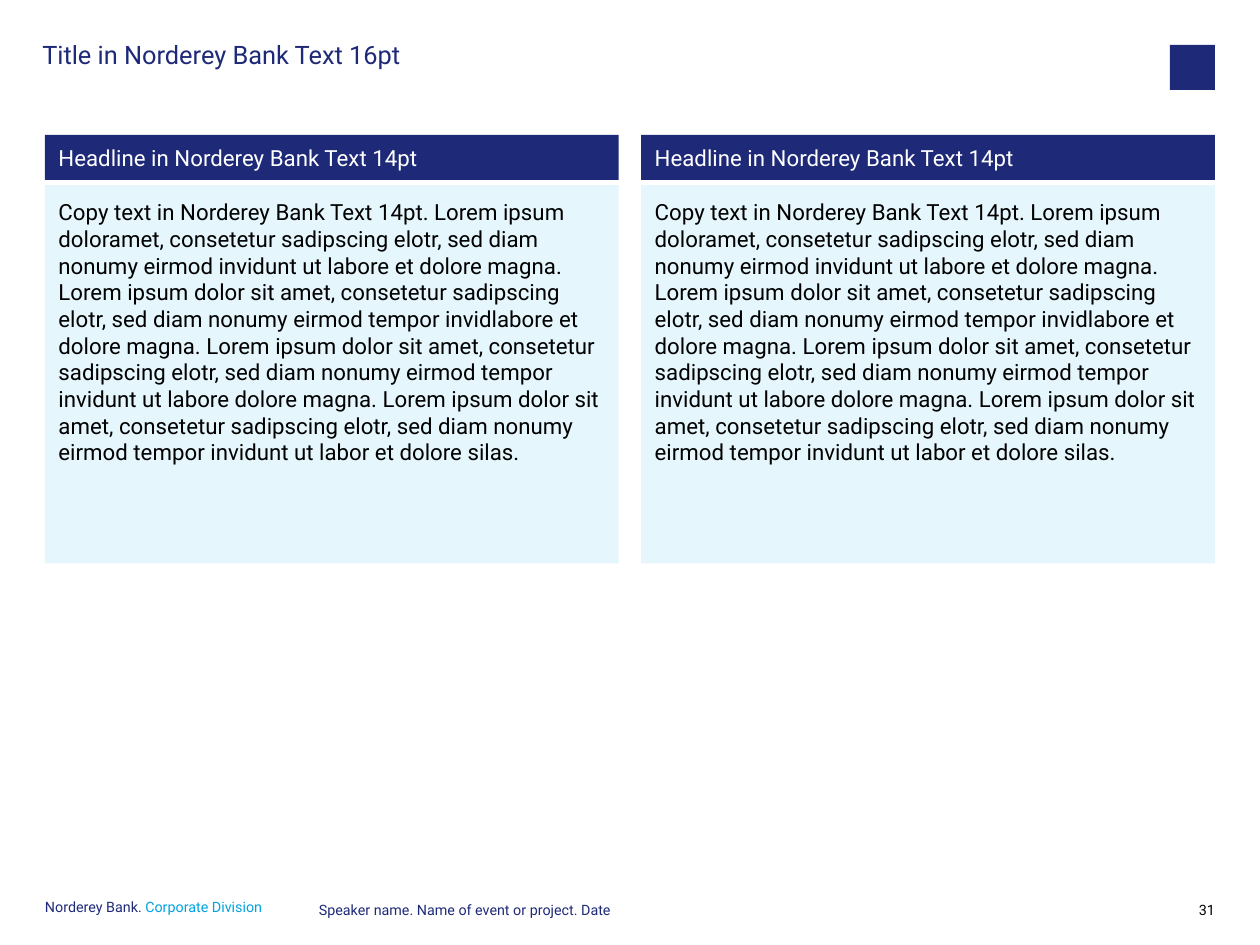
from pptx import Presentation
from pptx.dml.color import RGBColor
from pptx.enum import shapes, text
from pptx.util import Pt

NAVY = RGBColor(0x1E, 0x2A, 0x78)
CYAN = RGBColor(0x00, 0xA3, 0xE0)
PALE = RGBColor(0xE5, 0xF6, 0xFC)
BLACK = RGBColor(0, 0, 0)
WHITE = RGBColor(0xFF, 0xFF, 0xFF)

WIDE, HIGH = 793.7, 595.28
EDGE, GAP, BADGE = 28.35, 14.17, 28.35
BAR, SPLIT, PAD = 28.35, 3.2, 8.5
TOP, TALL = 85.05, 269.9

HEAD = "Headline in Norderey Bank Text 14pt"
COPY = (
    "Copy text in Norderey Bank Text 14pt. Lorem ipsum doloramet, "
    "consetetur sadipscing elotr, sed diam nonumy eirmod invidunt ut "
    "labore et dolore magna. Lorem ipsum dolor sit amet, consetetur "
    "sadipscing elotr, sed diam nonumy eirmod tempor invidlabore et "
    "dolore magna. Lorem ipsum dolor sit amet, consetetur sadipscing "
    "elotr, sed diam nonumy eirmod tempor invidunt ut labore dolore "
    "magna. Lorem ipsum dolor sit amet, consetetur sadipscing elotr, sed "
    "diam nonumy eirmod tempor invidunt ut labor et dolore silas."
)


def write(shape, runs, size, pads=(0, 0, 0, 0), anchor=text.MSO_ANCHOR.TOP,
          align=text.PP_ALIGN.LEFT, line=None):
    frame = shape.text_frame
    left, top, right, base = map(Pt, pads)
    form = {
        "margin_left": left, "margin_top": top,
        "margin_right": right, "margin_bottom": base,
        "word_wrap": True, "vertical_anchor": anchor,
        "auto_size": text.MSO_AUTO_SIZE.NONE,
    }
    for name, value in form.items():
        setattr(frame, name, value)
    para = frame.paragraphs[0]
    para.alignment = align
    para.line_spacing = line
    for words, color in runs:
        run = para.add_run()
        run.text = words
        run.font.name = "Roboto"
        run.font.size = Pt(size)
        run.font.color.rgb = color


def block(slide, box, fill):
    shape = slide.shapes.add_shape(shapes.MSO_SHAPE.RECTANGLE, *map(Pt, box))
    shape.shadow.inherit = False
    shape.fill.solid()
    shape.fill.fore_color.rgb = fill
    shape.line.fill.background()
    return shape


def header(slide, box):
    left, top, width, height = box
    title = slide.shapes.title
    form = {"left": left - 1.7, "top": top - 1.7,
            "width": 681.8, "height": height}
    for name, value in form.items():
        setattr(title, name, Pt(value))
    write(title, [("Title in Norderey Bank Text 16pt", NAVY)], 16, line=0.9)
    block(slide, (left + width - BADGE, top, BADGE, BADGE), NAVY)


def panel(slide, box):
    left, top, width, height = box
    down = BAR + SPLIT
    body = block(slide, (left, top + down, width, height - down), PALE)
    write(body, [(COPY, BLACK)], 14, (PAD,) * 4)
    bar = block(slide, (left, top, width, BAR), NAVY)
    write(bar, [(HEAD, WHITE)], 14, (PAD, 0, 0, 0), text.MSO_ANCHOR.MIDDLE)


def footer(slide, box):
    left, top, width, height = box
    start, end = text.PP_ALIGN.LEFT, text.PP_ALIGN.RIGHT
    parts = [
        (0, 157.7, start, Pt(9),
         [("Norderey Bank. ", NAVY), ("Corporate Division", CYAN)]),
        (172.5, 388.8, start, None,
         [("Speaker name. Name of event or project. Date", NAVY)]),
        (width - BADGE, BADGE, end, None, [("31", BLACK)]),
    ]
    for shift, span, align, line, runs in parts:
        label = slide.shapes.add_textbox(
            *map(Pt, (left + shift, top, span, height)))
        write(label, runs, 9, align=align, line=line)


def main():
    deck = Presentation()
    deck.slide_width, deck.slide_height = Pt(WIDE), Pt(HIGH)
    slide = deck.slides.add_slide(deck.slide_layouts[5])
    room = WIDE - 2 * EDGE
    header(slide, (EDGE, EDGE, room, 43.9))
    width = (room - GAP) / 2
    for index in range(2):
        panel(slide, (EDGE + index * (width + GAP), TOP, width, TALL))
    footer(slide, (EDGE, 567.4, room, 14.4))
    deck.save("out.pptx")


if __name__ == "__main__":
    main()
